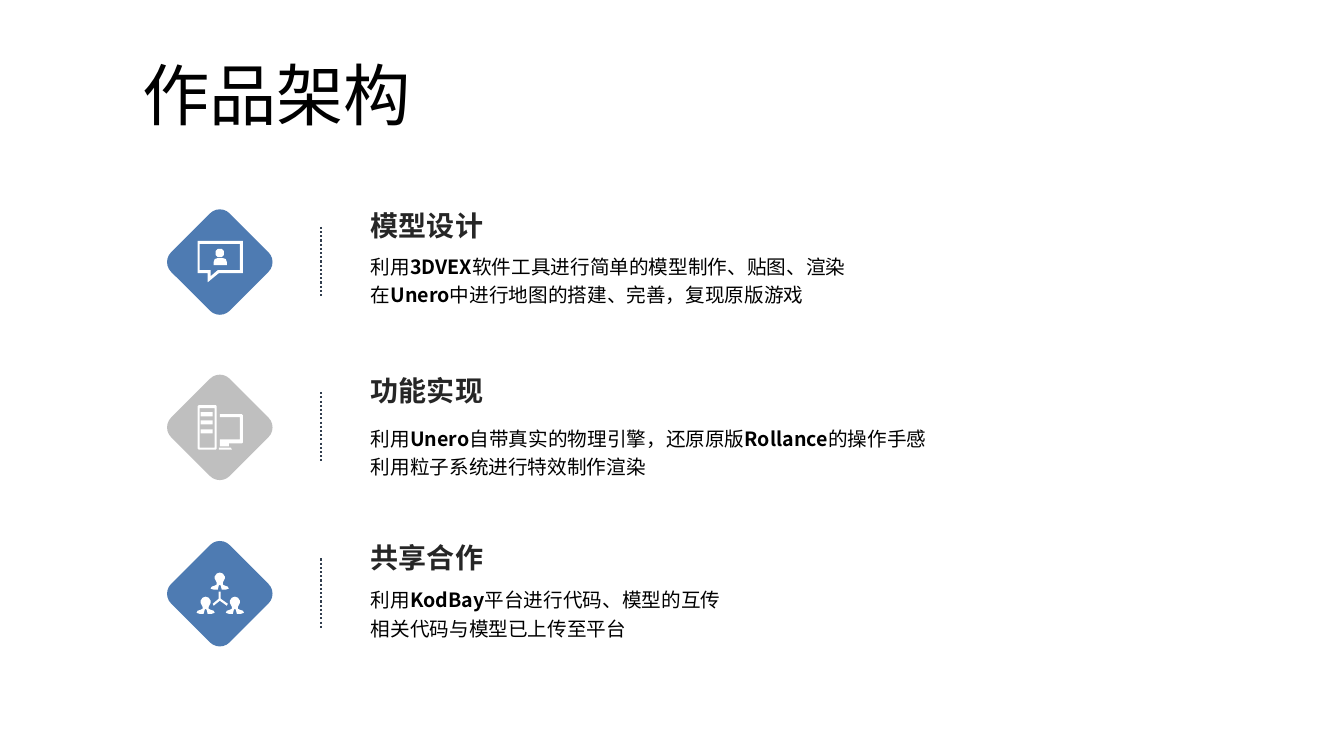
from dataclasses import dataclass

from lxml import etree
from pptx import Presentation
from pptx import util as u
from pptx.dml.color import RGBColor
from pptx.enum import dml, shapes, text
from pptx.oxml.ns import qn

SCALE = 9144


def px(num):
    return u.Emu(num * SCALE)


def hue(code):
    return RGBColor.from_string(code)


@dataclass
class Theme:
    font: str = "Noto Sans CJK SC"
    blue: str = "4E7BB2"
    gray: str = "BFBFBF"
    rule: str = "313E4E"
    ink: str = "000000"
    dark: str = "262626"
    white: str = "FFFFFF"
    title: int = 48
    head: int = 20
    body: int = 14


def write(frame, lines, font, size, color, bold=False, align=text.PP_ALIGN.LEFT, space=1.0):
    frame.word_wrap = True
    frame.auto_size = text.MSO_AUTO_SIZE.NONE
    frame.vertical_anchor = text.MSO_ANCHOR.TOP
    for row, line in enumerate(lines):
        para = frame.add_paragraph() if row else frame.paragraphs[0]
        para.alignment = align
        para.line_spacing = space
        for part, words in enumerate(line.split("*")):
            run = para.add_run()
            run.text = words
            run.font.size = u.Pt(size)
            run.font.bold = bold or part % 2 == 1
            run.font.color.rgb = hue(color)
            run.font.name = font
            latin = run.font._element.find(qn("a:latin"))
            east = etree.Element(qn("a:ea"), typeface=font)
            latin.addnext(east)


class Deck:
    def __init__(self, theme):
        self.theme = theme
        self.file = Presentation()
        self.file.slide_width, self.file.slide_height = px(1333), px(750)
        self.slide = self.file.slides.add_slide(self.file.slide_layouts[5])
        fill = self.slide.background.fill
        fill.solid()
        fill.fore_color.rgb = hue(theme.white)

    def paint(self, shape, color):
        shape.shadow.inherit = False
        shape.fill.solid()
        shape.fill.fore_color.rgb = hue(color)
        shape.line.fill.background()

    def title(self, words, x, y, w, h):
        box = self.slide.shapes.title
        box.left, box.top, box.width, box.height = map(px, (x, y, w, h))
        write(box.text_frame, [words], self.theme.font, self.theme.title, self.theme.ink)

    def label(self, lines, x, y, w, h, **form):
        box = self.slide.shapes.add_textbox(*map(px, (x, y, w, h)))
        write(box.text_frame, lines, self.theme.font, **form)

    def diamond(self, x, y, side, color):
        kind = shapes.MSO_SHAPE.ROUNDED_RECTANGLE
        shape = self.slide.shapes.add_shape(kind, *map(px, (x, y, side, side)))
        shape.rotation = 45
        self.paint(shape, color)

    def icon(self, rings):
        pen = self.slide.shapes.build_freeform(*rings[0][0], scale=SCALE)
        for turn, ring in enumerate(rings):
            if turn:
                pen.move_to(*ring[0])
            pen.add_line_segments(ring[1:], close=True)
        self.paint(pen.convert_to_shape(), self.theme.white)

    def rule(self, x, y, size):
        kind = shapes.MSO_CONNECTOR.STRAIGHT
        line = self.slide.shapes.add_connector(kind, *map(px, (x, y, x, y + size)))
        line.line.color.rgb = hue(self.theme.rule)
        line.line.width = u.Pt(1.5)
        line.line.dash_style = dml.MSO_LINE.ROUND_DOT
        etree.SubElement(line._element.spPr, qn("a:effectLst"))


def block(left, top, right, base, cut=0):
    if not cut:
        return [(left, top), (right, top), (right, base), (left, base)]
    return [(left + cut, top), (right - cut, top), (right, top + cut), (right, base - cut),
            (right - cut, base), (left + cut, base), (left, base - cut), (left, top + cut)]


def person(x, y):
    half = [(0, 0), (3, 1), (5, 4), (5, 6), (4, 8), (3, 10), (3, 12), (5, 13),
            (8, 14), (9, 16), (6, 17), (2, 17), (1, 13), (0, 12)]
    right = [(x + dx, y + dy) for dx, dy in half]
    left = [(x - dx, y + dy) for dx, dy in half[-2:0:-1]]
    return right + left


CHAT = [
    [(212, 263), (212, 260), (213, 257), (216, 256), (221, 256), (224, 257), (225, 260), (225, 263)],
    block(214, 247, 222, 255, 2),
    [(198, 242), (198, 268), (209, 268), (209, 274), (216, 268), (238, 268), (238, 242)],
    [(196, 239), (241, 239), (241, 271), (217, 271), (206, 280), (206, 271), (196, 271)],
]
TOWER = [
    block(196, 402, 215, 446, 1),
    block(198, 405, 213, 444),
    *[block(199, top, 211, top + 4) for top in (409, 417, 426)],
    [(218, 411), (240, 411), (241, 412), (241, 439), (240, 440), (227, 440), (227, 443),
     (218, 443), (218, 436), (238, 436), (238, 414), (218, 414)],
    [(217, 444), (229, 444), (230, 446), (217, 446)],
]
TEAM = [
    *[person(x, y) for x, y in ((218, 568), (204, 592), (233, 592))],
    [(217, 587), (219, 587), (219, 594), (226, 599), (225, 601), (218, 596),
     (212, 601), (211, 599), (217, 594)],
]


def main():
    look = Theme()
    deck = Deck(look)
    deck.title("作品架构", 131, 48, 291, 91)
    items = [
        (look.blue, CHAT, "模型设计", 243,
         ["利用*3DVEX*软件工具进行简单的模型制作、贴图、渲染",
          "在*Unero*中进行地图的搭建、完善，复现原版游戏"]),
        (look.gray, TOWER, "功能实现", 414,
         ["利用*Unero*自带真实的物理引擎，还原原版*Rollance*的操作手感",
          "利用粒子系统进行特效制作渲染"]),
        (look.blue, TEAM, "共享合作", 574,
         ["利用*KodBay*平台进行代码、模型的互传",
          "相关代码与模型已上传至平台"]),
    ]
    for row, (color, rings, head, base, lines) in enumerate(items):
        top = 219 + row * 329 // 2
        deck.diamond(177, top, 82, color)
        deck.icon(rings)
        deck.rule(318, top + 6, 70)
        deck.label([head], 358, top - 17, 151, 44, size=look.head, color=look.dark,
                   bold=True, align=text.PP_ALIGN.JUSTIFY)
        deck.label(lines, 358, base, 821, 67, size=look.body, color=look.ink, space=1.2)
    deck.file.save("out.pptx")


if __name__ == "__main__":
    main()
